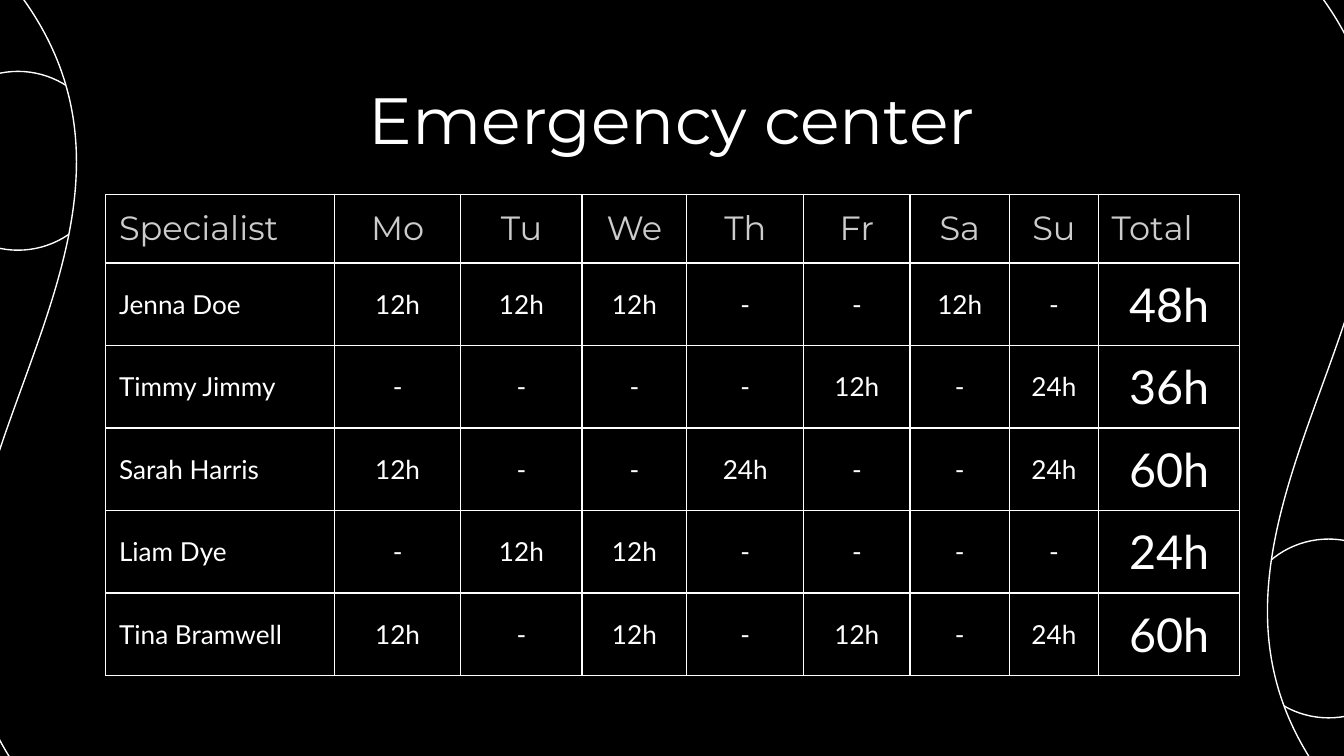
from pptx import Presentation
from pptx import oxml
from pptx.dml.color import RGBColor
from pptx.enum import shapes, text
from pptx.util import Cm, Pt

HUES = {"back": "000000", "line": "FFFFFF", "body": "FFFFFF", "head": "CCCCCC"}
NS = "http://schemas.openxmlformats.org/drawingml/2006/main"
WIDTHS = [4.32, 2.39, 2.29, 1.98, 2.21, 2.01, 1.88, 1.68, 2.67]
HEAD, BODY = 1.29, 1.56
ROTA = [
    ["Specialist", "Mo", "Tu", "We", "Th", "Fr", "Sa", "Su", "Total"],
    ["Jenna Doe", "12h", "12h", "12h", "-", "-", "12h", "-", "48h"],
    ["Timmy Jimmy", "-", "-", "-", "-", "12h", "-", "24h", "36h"],
    ["Sarah Harris", "12h", "-", "-", "24h", "-", "-", "24h", "60h"],
    ["Liam Dye", "-", "12h", "12h", "-", "-", "-", "-", "24h"],
    ["Tina Bramwell", "12h", "-", "12h", "-", "12h", "-", "24h", "60h"],
]


def hue(name):
    """Return the named colour."""
    return RGBColor.from_string(HUES[name])


def write(frame, words, size=14, font="Lato", color="body", center=True):
    """Put formatted words in a text frame."""
    para = frame.paragraphs[0]
    para.alignment = text.PP_ALIGN.CENTER if center else text.PP_ALIGN.LEFT
    run = para.add_run()
    run.text = words
    run.font.size = Pt(size)
    run.font.name = font
    run.font.color.rgb = hue(color)


def curve(slide, kind, box, turn=0):
    """Add one outlined shape of the backdrop."""
    shape = slide.shapes.add_shape(kind, *map(Cm, box))
    shape.rotation = turn
    shape.shadow.inherit = False
    shape.fill.solid()
    shape.fill.fore_color.rgb = hue("back")
    shape.line.color.rgb = hue("line")
    shape.line.width = Pt(0.75)
    return shape


def scene(slide, width, height):
    """Draw the backdrop of two circles and an upright wave."""
    slide.background.fill.solid()
    slide.background.fill.fore_color.rgb = hue("back")
    side = 3.38
    for left, top in ((width - 1.98, 10.19), (-1.35, 1.35)):
        curve(slide, shapes.MSO_SHAPE.OVAL, (left, top, side, side))
    wide, tall = 14.71, 26.7
    box = ((width - wide) / 2, (height - tall) / 2 + 0.16, wide, tall)
    wave = curve(slide, shapes.MSO_SHAPE.WAVE, box, turn=270)
    wave.adjustments[0] = 0.04
    wave.adjustments[1] = 0


def title(slide, box, words):
    """Write the slide title in its box."""
    frame = slide.shapes.add_textbox(*map(Cm, box)).text_frame
    frame.word_wrap = True
    frame.margin_left = frame.margin_right = Cm(0.25)
    frame.margin_top = frame.margin_bottom = Cm(0.25)
    write(frame, words, size=35, font="Montserrat")


def edge(cell):
    """Rule all four sides of a cell."""
    props = cell._tc.get_or_add_tcPr()
    for tag in ("lnL", "lnR", "lnT", "lnB"):
        props.append(oxml.parse_xml(
            f'<a:{tag} xmlns:a="{NS}" w="{Pt(0.75)}"><a:solidFill>'
            f'<a:srgbClr val="{HUES["line"]}"/></a:solidFill></a:{tag}>'))


def style(row, col):
    """Return the text format for a place in the table."""
    last = len(WIDTHS) - 1
    if row == 0:
        return dict(size=18, font="Montserrat", color="head",
                    center=0 < col < last)
    return dict(size=25 if col == last else 14, center=col > 0)


def roster(slide, left, top):
    """Add the table of weekly hours at the given corner."""
    rows = [HEAD] + [BODY] * (len(ROTA) - 1)
    box = (left, top, sum(WIDTHS), sum(rows))
    table = slide.shapes.add_table(len(rows), len(WIDTHS), *map(Cm, box)).table
    table.horz_banding = False
    for col, width in zip(table.columns, WIDTHS):
        col.width = Cm(width)
    for row, height in zip(table.rows, rows):
        row.height = Cm(height)
    for r, line in enumerate(ROTA):
        for c, words in enumerate(line):
            cell = table.cell(r, c)
            cell.vertical_anchor = text.MSO_ANCHOR.MIDDLE
            cell.margin_left = cell.margin_right = Cm(0.25)
            cell.margin_top = cell.margin_bottom = Cm(0.25)
            edge(cell)
            cell.fill.background()
            write(cell.text_frame, words, **style(r, c))


def main():
    """Build the slide and save it."""
    deck = Presentation()
    width, height = 25.4, 14.29
    deck.slide_width, deck.slide_height = Cm(width), Cm(height)
    slide = deck.slides.add_slide(deck.slide_layouts[6])
    scene(slide, width, height)
    title(slide, (2, 1.24, 21.4, 1.6), "Emergency center")
    roster(slide, 2, 3.68)
    deck.save("out.pptx")


if __name__ == "__main__":
    main()
